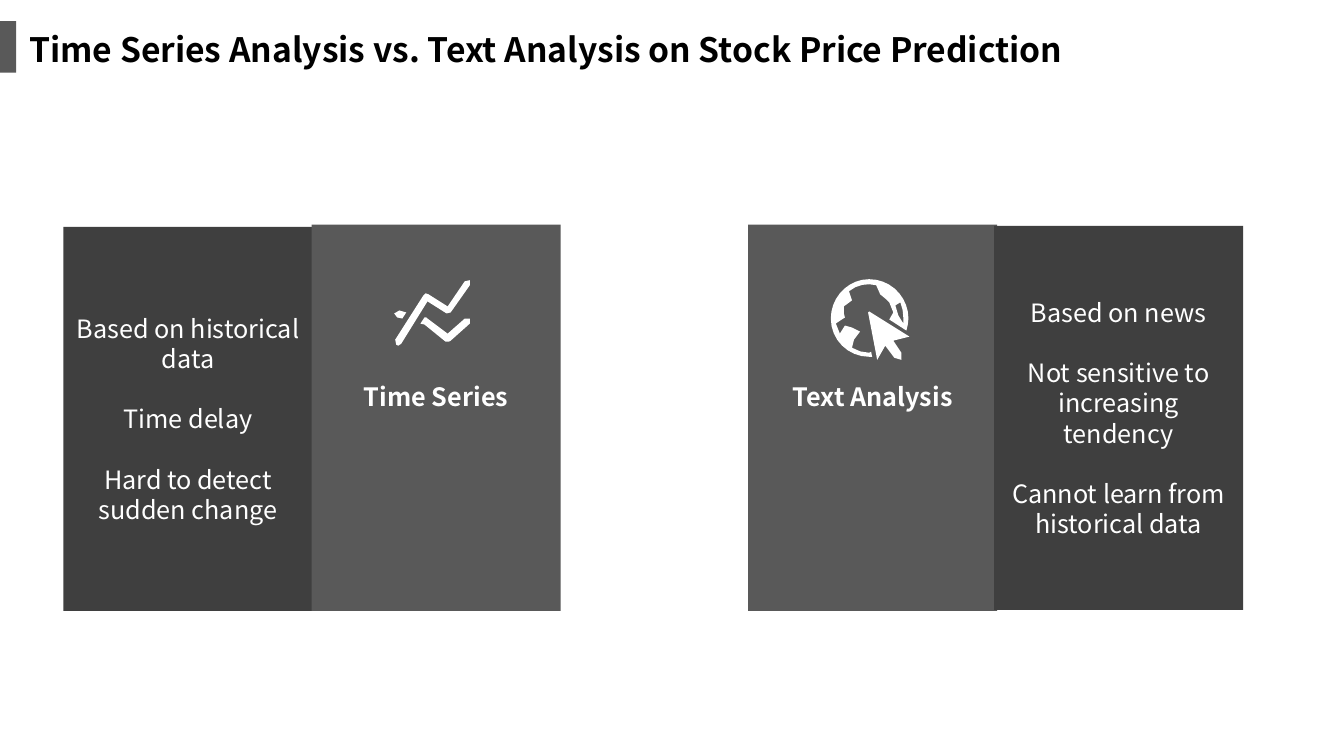
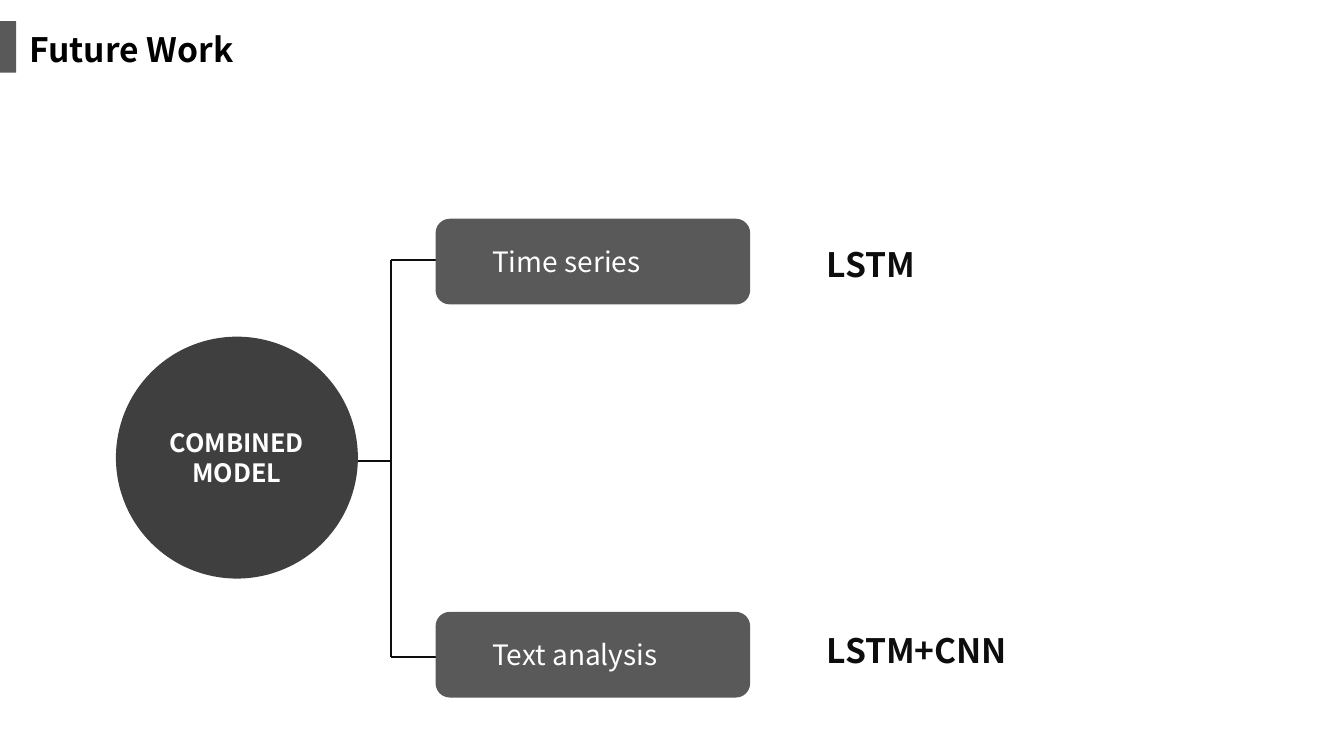
import dataclasses
import math

import pptx
import pptx.dml.color
import pptx.enum.shapes
import pptx.enum.text
import pptx.oxml
import pptx.util

SHAPE = pptx.enum.shapes.MSO_SHAPE
ALIGN = pptx.enum.text.PP_ALIGN
ANCHOR = pptx.enum.text.MSO_ANCHOR
EMU_PER_PX = 9144
SLIDE_WIDTH, SLIDE_HEIGHT = 1333, 750


@dataclasses.dataclass(frozen=True)
class Theme:
    font: str = "Noto Sans CJK SC"
    black: str = "000000"
    ink: str = "0D0D0D"
    dark: str = "3F3F3F"
    grey: str = "595959"
    white: str = "FFFFFF"
    title_size: int = 24
    branch_size: int = 20
    body_size: int = 18
    line_height: float = 1.2
    rule_width: float = 1.5


THEME = Theme()

# Each contour, in px, is a start point, then lines (2 numbers) or cubic curves (6 numbers).
TREND_ICON = [
    [(33, 22), (52, 34), (53, 35, 55, 35, 56, 33), (75, 6),
     (77, 4, 76, 2, 75, 1), (73, 0, 71, 0, 70, 2), (53, 27), (34, 15),
     (33, 14, 32, 14, 31, 14), (30, 14, 30, 15, 29, 16), (1, 60),
     (0, 62, 0, 64, 2, 65), (2, 66, 3, 66, 4, 66), (5, 66, 6, 65, 7, 64)],
    [(70, 39), (53, 54), (33, 39), (33, 39, 33, 38, 32, 38), (30, 38),
     (26, 44), (30, 45), (51, 62), (52, 62, 53, 62, 54, 62),
     (54, 62, 55, 62, 56, 61), (75, 44), (76, 43, 76, 41, 75, 39),
     (74, 38, 72, 38, 70, 39)],
    [(3, 38), (8, 39), (12, 33), (5, 31), (3, 31, 1, 32, 0, 34),
     (0, 36, 1, 38, 3, 38)],
]
GLOBE_ICON = [
    [(38, 32), (78, 57), (62, 61), (70, 73), (72, 76, 72, 78, 70, 80),
     (68, 81, 65, 81, 63, 78), (54, 66), (46, 80), (37, 33)],
    [(69, 23), (67, 24, 65, 25, 64, 26), (63, 28, 65, 34, 67, 36),
     (70, 38, 71, 41, 72, 44), (72, 42, 72, 40, 72, 39),
     (72, 33, 71, 28, 69, 23)],
    [(38, 0), (60, 0, 77, 18, 77, 39), (77, 43, 76, 47, 75, 51), (58, 40),
     (59, 38, 62, 35, 62, 33), (62, 31, 60, 23, 58, 23),
     (57, 22, 52, 17, 49, 15), (46, 14, 45, 9, 45, 6),
     (42, 5, 41, 5, 38, 5), (31, 5, 24, 7, 18, 12),
     (20, 14, 22, 19, 21, 21), (19, 24, 13, 24, 13, 27),
     (13, 30, 13, 33, 13, 34), (13, 35, 17, 36, 14, 38),
     (13, 39, 8, 42, 5, 44), (5, 47, 7, 51, 9, 54),
     (9, 53, 12, 46, 14, 46), (17, 45, 19, 44, 21, 48),
     (24, 51, 27, 52, 29, 52), (31, 52, 29, 58, 23, 60),
     (17, 60, 25, 68, 21, 68), (26, 71, 32, 73, 38, 73),
     (39, 73, 40, 72, 40, 72), (41, 77), (40, 77, 39, 77, 38, 77),
     (17, 77, 0, 60, 0, 39), (0, 18, 17, 0, 38, 0)],
]


def px(length):
    return pptx.util.Emu(length * EMU_PER_PX)


def rgb(colour):
    return pptx.dml.color.RGBColor.from_string(colour)


def write(frame, paragraphs, size, colour, bold=False, align=ALIGN.CENTER, gap=0):
    """Fill a text frame; gap is the space between paragraphs in points."""
    frame.word_wrap = True
    frame.auto_size = pptx.enum.text.MSO_AUTO_SIZE.NONE
    frame.vertical_anchor = ANCHOR.MIDDLE
    frame.text = "\n".join(paragraphs)
    for index, paragraph in enumerate(frame.paragraphs):
        paragraph.alignment = align
        paragraph.line_spacing = pptx.util.Pt(size * THEME.line_height)
        paragraph.space_before = pptx.util.Pt(gap if index else 0)
        for run in paragraph.runs:
            run.font.name = THEME.font
            run.font.size = pptx.util.Pt(size)
            run.font.bold = bold
            run.font.color.rgb = rgb(colour)


def paint(shape, colour):
    shape.shadow.inherit = False
    shape.fill.solid()
    shape.fill.fore_color.rgb = rgb(colour)
    shape.line.fill.background()


def add_block(slide, kind, box, colour):
    block = slide.shapes.add_shape(kind, *map(px, box))
    paint(block, colour)
    return block


def add_label(slide, box, text, size, colour, align, inset=True):
    frame = slide.shapes.add_textbox(*map(px, box)).text_frame
    if not inset:
        frame.margin_left = frame.margin_right = 0
        frame.margin_top = frame.margin_bottom = 0
    write(frame, [text], size, colour, bold=True, align=align)


def add_rule(slide, start, end):
    rule = slide.shapes.add_connector(
        pptx.enum.shapes.MSO_CONNECTOR.STRAIGHT, *map(px, start + end))
    rule.line.color.rgb = rgb(THEME.ink)
    rule.line.width = pptx.util.Pt(THEME.rule_width)
    rule._element.spPr.append(pptx.oxml.parse_xml(
        '<a:effectLst xmlns:a="http://schemas.openxmlformats.org/drawingml/2006/main"/>'))


def flatten(contour, step_length=6):
    """Turn a contour into EMU points; long curves get more points than short ones."""
    points = [contour[0]]
    for segment in contour[1:]:
        if len(segment) == 2:
            points.append(segment)
            continue
        controls = [points[-1], segment[:2], segment[2:4], segment[4:]]
        steps = max(1, int(math.dist(controls[0], controls[3]) // step_length))
        for step in range(1, steps + 1):
            t = step / steps
            weights = ((1 - t) ** 3, 3 * t * (1 - t) ** 2, 3 * t * t * (1 - t), t ** 3)
            points.append(tuple(
                sum(weight * control[axis] for weight, control in zip(weights, controls))
                for axis in (0, 1)))
    return [(round(x * EMU_PER_PX), round(y * EMU_PER_PX)) for x, y in points]


def add_icon(slide, left, top, contours):
    first, *others = map(flatten, contours)
    outline = slide.shapes.build_freeform(*first[0])
    outline.add_line_segments(first[1:], close=True)
    for points in others:
        outline.move_to(*points[0])
        outline.add_line_segments(points[1:], close=True)
    paint(outline.convert_to_shape(px(left), px(top)), THEME.white)


def add_titled_slide(deck, heading):
    slide = deck.slides.add_slide(deck.slide_layouts[5])
    title = slide.shapes.title
    title.left, title.top, title.width, title.height = map(px, (19, 24, 1084, 50))
    write(title.text_frame, [heading], THEME.title_size, THEME.black,
          bold=True, align=ALIGN.LEFT)
    add_block(slide, SHAPE.RECTANGLE, (0, 21, 16, 51), THEME.grey)
    return slide


def add_details(slide, box, points):
    details = add_block(slide, SHAPE.RECTANGLE, box, THEME.dark)
    write(details.text_frame, points, THEME.body_size, THEME.white,
          gap=THEME.body_size * THEME.line_height)


def add_method_head(slide, box, name, icon):
    left, top, width, _ = box
    add_block(slide, SHAPE.RECTANGLE, box, THEME.grey)
    add_label(slide, (left - 11, top + 155, width + 22, 30), name, THEME.body_size,
              THEME.white, ALIGN.CENTER, inset=False)
    add_icon(slide, left + 82, top + 54, icon)


def add_method_card(slide, box, name, icon, points, details_first):
    """Place two slightly overlapping panels in the box, the right one in front."""
    left, top, width, height = box
    panel_width = 247
    right = left + width - panel_width
    if details_first:
        add_details(slide, (left, top + 2, panel_width, height - 2), points)
        add_method_head(slide, (right, top, panel_width, height), name, icon)
    else:
        add_method_head(slide, (left, top, panel_width, height), name, icon)
        add_details(slide, (right, top + 1, panel_width, height - 2), points)


def add_model_tree(slide, box, root, branches):
    """Link a root to branches: (name, link offset, model, model offset) from each top."""
    left, top, width, height = box
    diameter, branch_width, branch_height = 240, 312, 85
    branch_left, models_left = left + 317, left + 695
    trunk, root_link, link_end = left + 273, left + 210, left + 434
    circle_top, root_middle = top + 117, top + 240
    pitch = (height - branch_height) // (len(branches) - 1)
    tops = [top + index * pitch for index in range(len(branches))]
    links = [branch_top + branch[1] for branch_top, branch in zip(tops, branches)]

    for link in links:
        add_rule(slide, (link_end, link), (trunk, link))
    add_rule(slide, (trunk, links[0]), (trunk, links[-1]))
    add_rule(slide, (trunk, root_middle), (root_link, root_middle))

    circle = add_block(slide, SHAPE.OVAL, (left, circle_top, diameter, diameter), THEME.dark)
    write(circle.text_frame, [root], THEME.body_size, THEME.white, bold=True)

    for branch_top, (name, _, model, model_offset) in zip(tops, branches):
        branch = add_block(slide, SHAPE.ROUNDED_RECTANGLE,
                           (branch_left, branch_top, branch_width, branch_height), THEME.grey)
        branch.text_frame.margin_left = px(52)
        write(branch.text_frame, [name], THEME.branch_size, THEME.white, align=ALIGN.LEFT)
        add_label(slide, (models_left, branch_top + model_offset,
                          left + width - models_left, 50),
                  model, THEME.title_size, THEME.ink, ALIGN.LEFT)


def add_comparison_slide(deck):
    slide = add_titled_slide(
        deck, "Time Series Analysis vs. Text Analysis on Stock Price Prediction")
    add_method_card(
        slide, (63, 223, 493, 383), "Time Series", TREND_ICON,
        ["Based on historical data", "Time delay", "Hard to detect sudden change"],
        details_first=True)
    add_method_card(
        slide, (742, 223, 491, 383), "Text Analysis", GLOBE_ICON,
        ["Based on news", "Not sensitive to increasing tendency",
         "Cannot learn from historical data"],
        details_first=False)


def add_future_work_slide(deck):
    slide = add_titled_slide(deck, "Future Work")
    add_model_tree(
        slide, (115, 217, 1056, 475), "COMBINED MODEL",
        [("Time series", 41, "LSTM", 20), ("Text analysis", 45, "LSTM+CNN", 13)])


def main():
    deck = pptx.Presentation()
    deck.slide_width, deck.slide_height = px(SLIDE_WIDTH), px(SLIDE_HEIGHT)
    add_comparison_slide(deck)
    add_future_work_slide(deck)
    deck.save("out.pptx")


if __name__ == "__main__":
    main()
